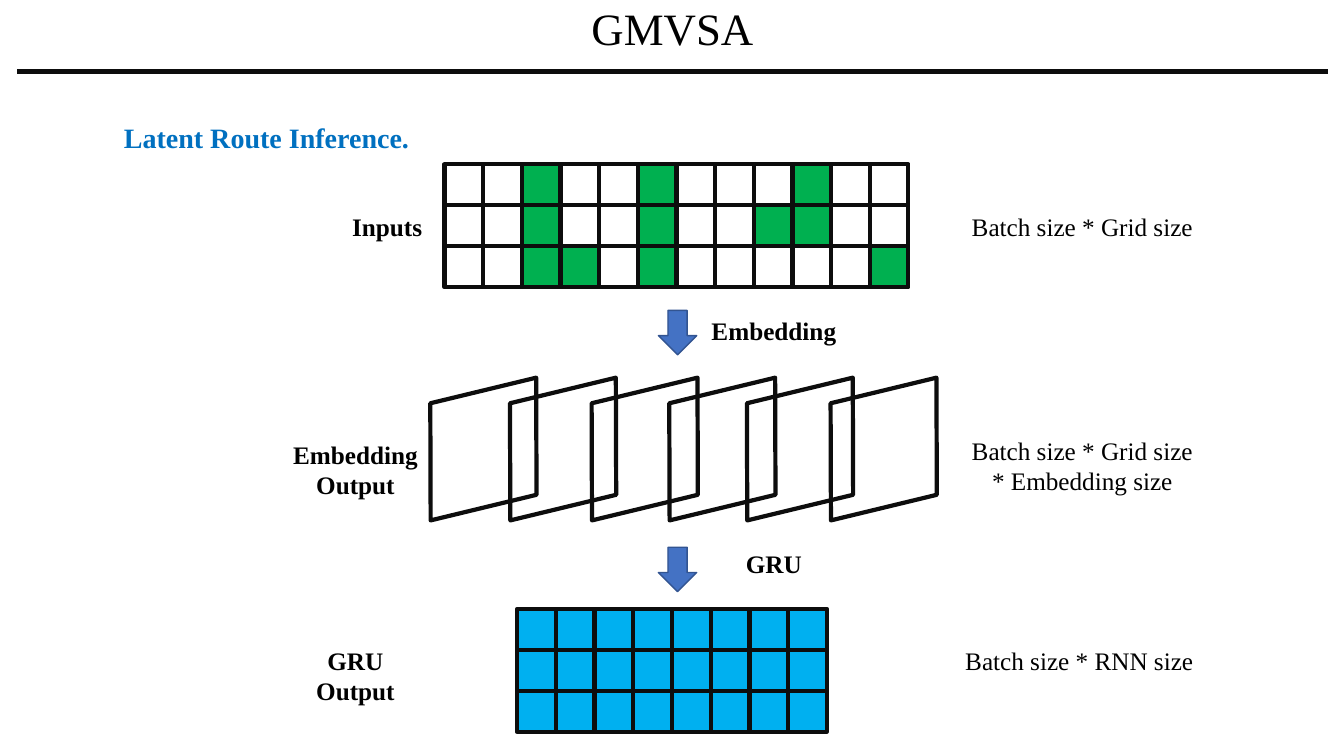
from lxml import etree
from pptx import Presentation
from pptx.dml.color import RGBColor
from pptx.enum.shapes import MSO_CONNECTOR, MSO_SHAPE
from pptx.enum.text import MSO_ANCHOR, PP_ALIGN
from pptx.oxml.ns import qn
from pptx.util import Pt

EMU_PER_PX = 9144  # 100 px to the inch
FONT = "Times New Roman"
BLACK = RGBColor(0x00, 0x00, 0x00)
OUTLINE = RGBColor(0x0D, 0x0D, 0x0D)
HEADING_BLUE = RGBColor(0x00, 0x70, 0xC0)
GREEN = RGBColor(0x00, 0xB0, 0x50)
SKY_BLUE = RGBColor(0x00, 0xB0, 0xF0)
ARROW_FILL = RGBColor(0x44, 0x72, 0xC4)
ARROW_LINE = RGBColor(0x32, 0x54, 0x91)

# One string per row: "#" marks a visited cell
ROUTE_CELLS = (
    "..#..#...#..",
    "..#..#..##..",
    "..##.#.....#",
)
PLANE_LEFTS = (412, 491, 572, 649, 726, 809)
ARROW_LEFT, ARROW_WIDTH, ARROW_HEIGHT = 650, 44, 38
SIZE_LEFT, SIZE_WIDTH = 940, 267
WIDE_LABEL = 451


def px(value):
    return round(value * EMU_PER_PX)


def add_text(slide, text, left, top, width, height, *, size=18, bold=False,
             color=BLACK, align=PP_ALIGN.CENTER, anchor=MSO_ANCHOR.TOP,
             line_spacing=None, indent=0):
    box = slide.shapes.add_textbox(px(left), px(top), px(width), px(height))
    frame = box.text_frame
    frame.word_wrap = True
    frame.vertical_anchor = anchor
    frame.text = text
    for paragraph in frame.paragraphs:
        paragraph.alignment = align
        paragraph.line_spacing = line_spacing
        if indent:
            paragraph._p.get_or_add_pPr().set("indent", str(px(indent)))
        font = paragraph.font
        font.name, font.size, font.bold = FONT, Pt(size), bold
        font.color.rgb = color


def add_outlined(shapes, kind, left, top, width, height, *, fill=None,
                 line=OUTLINE, line_width=3, rotation=0):
    """Add a preset shape; without a fill colour it stays transparent."""
    shape = shapes.add_shape(kind, px(left), px(top), px(width), px(height))
    shape.shadow.inherit = False
    shape.rotation = rotation
    if fill is None:
        shape.fill.background()
    else:
        shape.fill.solid()
        shape.fill.fore_color.rgb = fill
    shape.line.color.rgb = line
    shape.line.width = Pt(line_width)


def add_grid(shapes, rows, marked_fill, left, top, width, height):
    cell_height = height / len(rows)
    for row_index, row in enumerate(rows):
        cell_width = width / len(row)
        for column_index, mark in enumerate(row):
            add_outlined(shapes, MSO_SHAPE.RECTANGLE,
                         left + column_index * cell_width,
                         top + row_index * cell_height,
                         cell_width, cell_height,
                         fill=marked_fill if mark == "#" else None)


def add_header(slide, left, top, width):
    add_text(slide, "GMVSA", left, top, width, 60, size=32,
             anchor=MSO_ANCHOR.BOTTOM, line_spacing=0.9)
    rule = slide.shapes.add_connector(
        MSO_CONNECTOR.STRAIGHT,
        px(left), px(top + 71), px(left + width), px(top + 71))
    rule.line.color.rgb = OUTLINE
    rule.line.width = Pt(3)
    etree.SubElement(rule._element.spPr, qn("a:effectLst"))
    add_text(slide, "Latent Route Inference.", left + 39, top + 106, 1183, 49,
             size=20, bold=True, color=HEADING_BLUE, align=PP_ALIGN.JUSTIFY,
             line_spacing=1.25, indent=57)


def add_inputs(slide, left, top, width, height):
    add_text(slide, "Inputs", left - 123, top + 42, 132, 40, bold=True)
    group = slide.shapes.add_group_shape()
    add_grid(group.shapes, ROUTE_CELLS, GREEN, left, top, width, height)
    add_text(slide, "Batch size * Grid size",
             SIZE_LEFT, top + 42, SIZE_WIDTH, 40)


def add_step(slide, label, arrow_top, label_top):
    add_outlined(slide.shapes, MSO_SHAPE.RIGHT_ARROW, ARROW_LEFT, arrow_top,
                 ARROW_WIDTH, ARROW_HEIGHT, fill=ARROW_FILL, line=ARROW_LINE,
                 line_width=1, rotation=90)
    add_text(slide, label, 542, label_top, WIDE_LABEL, 40, bold=True)


def add_embedding_output(slide, top, plane_width, plane_height):
    for left in PLANE_LEFTS:
        add_outlined(slide.shapes, MSO_SHAPE.FLOWCHART_DATA, left, top,
                     plane_width, plane_height, rotation=346.4)
    add_text(slide, "Embedding\nOutput", 127, top + 42, WIDE_LABEL, 71,
             bold=True)
    add_text(slide, "Batch size * Grid size\n* Embedding size",
             SIZE_LEFT, top + 38, SIZE_WIDTH, 71)


def add_gru_output(slide, left, top, width, height):
    add_grid(slide.shapes, ("#" * 8,) * 3, SKY_BLUE, left, top, width, height)
    add_text(slide, "GRU\nOutput", 127, top + 31, WIDE_LABEL, 71, bold=True)
    add_text(slide, "Batch size * RNN size",
             SIZE_LEFT - 3, top + 31, SIZE_WIDTH, 40)


def main():
    presentation = Presentation()
    presentation.slide_width, presentation.slide_height = px(1333), px(750)
    slide = presentation.slides.add_slide(presentation.slide_layouts[6])
    add_header(slide, 17, 0, 1300)
    add_inputs(slide, 441, 163, 460, 122)
    add_step(slide, "Embedding", 311, 308)
    add_embedding_output(slide, 389, 135, 113)
    add_step(slide, "GRU", 546, 539)
    add_gru_output(slide, 513, 604, 307, 122)
    presentation.save("out.pptx")


if __name__ == "__main__":
    main()
